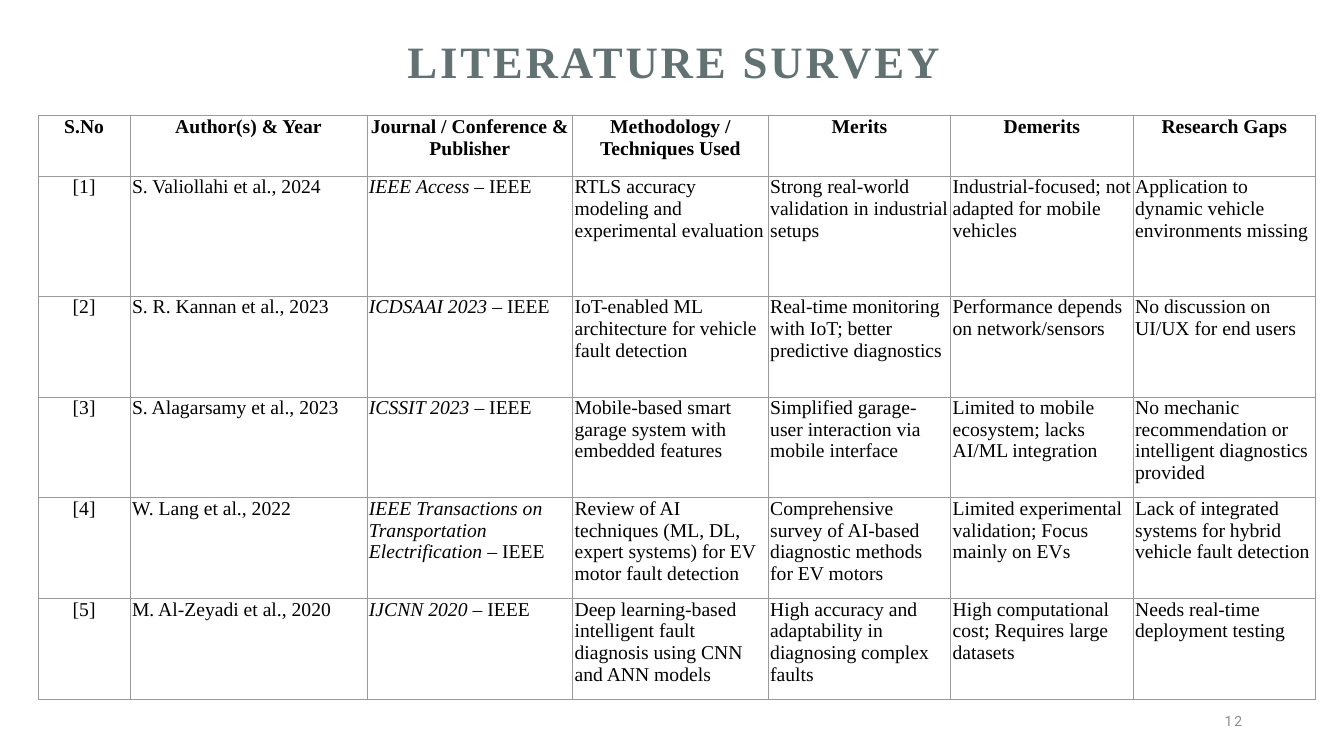
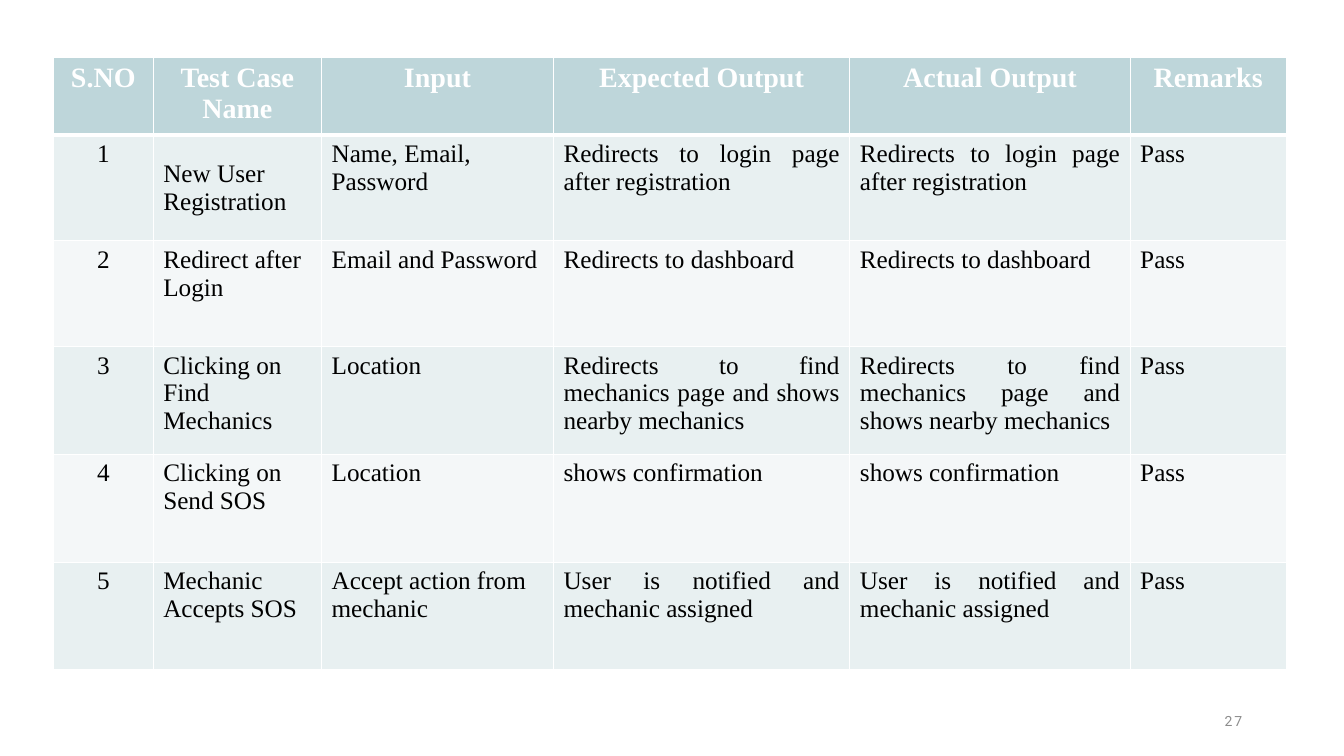
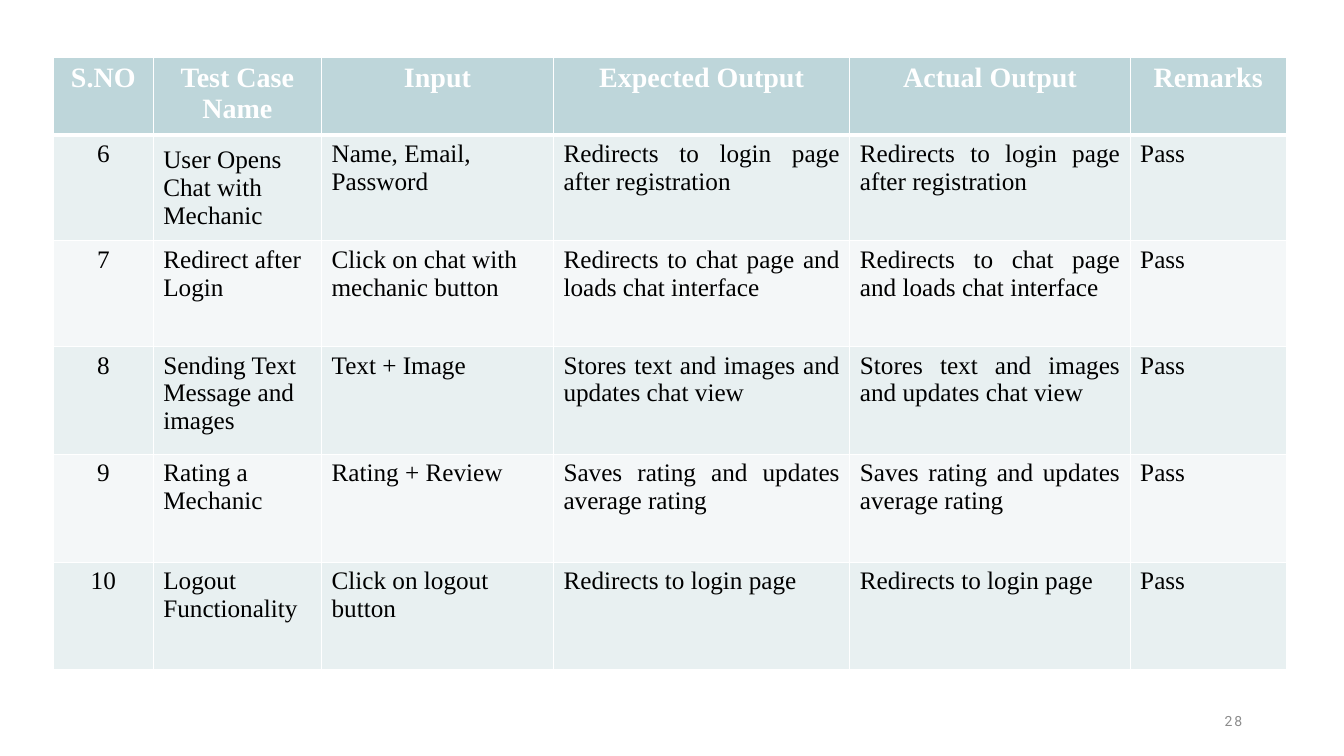
import pptx
import pptx.dml.color
import pptx.enum.text
import pptx.util
import lxml.etree

SERIF = "Times New Roman"
SANS = "Roboto"
BLACK = "000000"
WHITE = "FFFFFF"
SLATE = "627272"
GREY = "8C8C8C"
GRID_GREY = "9A9A9A"
HEADER_TEAL = "BED6DA"
BANDS = ("E8F0F1", "F4F7F8")

LEFT = pptx.enum.text.PP_ALIGN.LEFT
CENTER = pptx.enum.text.PP_ALIGN.CENTER
RIGHT = pptx.enum.text.PP_ALIGN.RIGHT
JUSTIFY = pptx.enum.text.PP_ALIGN.JUSTIFY
TOP = pptx.enum.text.MSO_ANCHOR.TOP
MIDDLE = pptx.enum.text.MSO_ANCHOR.MIDDLE
BOTTOM = pptx.enum.text.MSO_ANCHOR.BOTTOM

SURVEY_COLUMNS = (0.91, 2.35, 2.04, 1.94, 1.81, 1.81, 1.81)
SURVEY_ROWS = (0.6, 1.19, 1, 1, 1, 1)
SURVEY_HEADER = (
    "S.No", "Author(s) & Year", "Journal / Conference & Publisher",
    "Methodology / Techniques Used", "Merits", "Demerits", "Research Gaps",
)
SURVEY = (
    ("S. Valiollahi et al., 2024", "IEEE Access",
     "RTLS accuracy modeling and experimental evaluation",
     "Strong real-world validation in industrial setups",
     "Industrial-focused; not adapted for mobile vehicles",
     "Application to dynamic vehicle environments missing"),
    ("S. R. Kannan et al., 2023", "ICDSAAI 2023",
     "IoT-enabled ML architecture for vehicle fault detection",
     "Real-time monitoring with IoT; better predictive diagnostics",
     "Performance depends on network/sensors",
     "No discussion on UI/UX for end users"),
    ("S. Alagarsamy et al., 2023", "ICSSIT 2023",
     "Mobile-based smart garage system with embedded features",
     "Simplified garage-user interaction via mobile interface",
     "Limited to mobile ecosystem; lacks AI/ML integration",
     "No mechanic recommendation or intelligent diagnostics provided"),
    ("W. Lang et al., 2022", "IEEE Transactions on Transportation Electrification",
     "Review of AI techniques (ML, DL, expert systems) for EV motor fault detection",
     "Comprehensive survey of AI-based diagnostic methods for EV motors",
     "Limited experimental validation; Focus mainly on EVs",
     "Lack of integrated systems for hybrid vehicle fault detection"),
    ("M. Al-Zeyadi et al., 2020", "IJCNN 2020",
     "Deep learning-based intelligent fault diagnosis using CNN and ANN models",
     "High accuracy and adaptability in diagnosing complex faults",
     "High computational cost; Requires large datasets",
     "Needs real-time deployment testing"),
)

TEST_COLUMNS = (0.99, 1.67, 2.3, 2.94, 2.78, 1.55)
TEST_ROWS = (0.62, 1.05, 1.05, 1.07, 1.07, 1.07)
TEST_HEADER = ("S.NO", "Test Case Name", "Input", "Expected Output", "Actual Output", "Remarks")
TEST_ALIGNMENTS = (CENTER, LEFT, LEFT, JUSTIFY, JUSTIFY, JUSTIFY)
ACCOUNT_TESTS = (
    ("New User Registration", "Name, Email, Password",
     "Redirects to login page after registration"),
    ("Redirect after Login", "Email and Password", "Redirects to dashboard"),
    ("Clicking on Find Mechanics", "Location",
     "Redirects to find mechanics page and shows nearby mechanics"),
    ("Clicking on Send SOS", "Location", "shows confirmation"),
    ("Mechanic Accepts SOS", "Accept action from mechanic",
     "User is notified and mechanic assigned"),
)
CHAT_TESTS = (
    ("User Opens Chat with Mechanic", "Name, Email, Password",
     "Redirects to login page after registration"),
    ("Redirect after Login", "Click on chat with mechanic button",
     "Redirects to chat page and loads chat interface"),
    ("Sending Text Message and images", "Text + Image",
     "Stores text and images and updates chat view"),
    ("Rating a Mechanic", "Rating + Review", "Saves rating and updates average rating"),
    ("Logout Functionality", "Click on logout button", "Redirects to login page"),
)


def inches(*lengths):
    return [pptx.util.Inches(length) for length in lengths]


def color(value):
    return pptx.dml.color.RGBColor.from_string(value)


def style(paragraph, size, value, font=SERIF, bold=False, alignment=LEFT, spacing=0):
    paragraph.alignment = alignment
    paragraph.font.name = font
    paragraph.font.size = pptx.util.Pt(size)
    paragraph.font.bold = bold
    paragraph.font.color.rgb = color(value)
    if spacing:
        paragraph.font._element.set("spc", str(int(spacing * 100)))


def add_title(slide, text):
    title = slide.shapes.title
    title.left, title.top, title.width, title.height = inches(3.94, 0.18, 5.53, 0.75)
    frame = title.text_frame
    frame.text = text
    frame.auto_size = pptx.enum.text.MSO_AUTO_SIZE.NONE
    frame.vertical_anchor = BOTTOM
    frame.margin_right = 0
    paragraph = frame.paragraphs[0]
    paragraph.line_spacing = 0.9
    style(paragraph, 32, SLATE, bold=True, spacing=2)


def add_page_number(slide, number):
    frame = slide.shapes.add_textbox(*inches(9.42, 6.95, 3, 0.4)).text_frame
    frame.word_wrap = True
    frame.vertical_anchor = MIDDLE
    frame.text = str(number)
    style(frame.paragraphs[0], 10, GREY, SANS, alignment=RIGHT, spacing=1.5)


def set_borders(cell, value, left=1, right=1, top=1, bottom=1):
    properties = cell._tc.get_or_add_tcPr()
    tag = pptx.oxml.ns.qn
    for side, width in zip("LRTB", (left, right, top, bottom)):
        line = lxml.etree.SubElement(
            properties, tag(f"a:ln{side}"), w=str(pptx.util.Pt(width)))
        fill = lxml.etree.SubElement(line, tag("a:solidFill"))
        lxml.etree.SubElement(fill, tag("a:srgbClr"), val=value)


def add_table(slide, left, top, columns, rows):
    table = slide.shapes.add_table(
        len(rows), len(columns), *inches(left, top, sum(columns), sum(rows))).table
    table.horz_banding = False
    for column, width in zip(table.columns, inches(*columns)):
        column.width = width
    for row, height in zip(table.rows, inches(*rows)):
        row.height = height
    return table


def add_survey(slide):
    table = add_table(slide, 0.38, 1.15, SURVEY_COLUMNS, SURVEY_ROWS)
    entries = [(f"[{number}]", *entry) for number, entry in enumerate(SURVEY, 1)]
    for row, texts in enumerate([SURVEY_HEADER, *entries]):
        for column, text in enumerate(texts):
            cell = table.cell(row, column)
            header = row == 0
            set_borders(cell, GRID_GREY, *[0.75] * 4)
            cell.fill.background()
            cell.margin_left, cell.margin_right, cell.margin_top, cell.margin_bottom = inches(
                0.02, 0.02, 0, 0)
            cell.text = text
            paragraph = cell.text_frame.paragraphs[0]
            if column == 2 and not header:
                paragraph.runs[0].font.italic = True
                paragraph.add_run().text = " – IEEE"
            style(paragraph, 14, BLACK, bold=header,
                  alignment=CENTER if header or column == 0 else LEFT)


def add_tests(slide, first_number, tests):
    table = add_table(slide, 0.53, 0.57, TEST_COLUMNS, TEST_ROWS)
    entries = [
        (str(number), name, given, output, output, "Pass")
        for number, (name, given, output) in enumerate(tests, first_number)
    ]
    for row, texts in enumerate([TEST_HEADER, *entries]):
        for column, text in enumerate(texts):
            cell = table.cell(row, column)
            header = row == 0
            set_borders(cell, WHITE, top=3 if row == 1 else 1, bottom=3 if header else 1)
            cell.fill.solid()
            cell.fill.fore_color.rgb = color(HEADER_TEAL if header else BANDS[(row - 1) % 2])
            cell.vertical_anchor = MIDDLE if (row, column) == (1, 1) else TOP
            cell.text = text
            style(cell.text_frame.paragraphs[0], 20 if header else 18,
                  WHITE if header else BLACK, bold=header,
                  alignment=CENTER if header else TEST_ALIGNMENTS[column])


def main():
    presentation = pptx.Presentation()
    presentation.slide_width, presentation.slide_height = inches(13.33, 7.5)
    title_only, blank = presentation.slide_layouts[5], presentation.slide_layouts[6]

    slide = presentation.slides.add_slide(title_only)
    add_title(slide, "LITERATURE SURVEY")
    add_page_number(slide, 12)
    add_survey(slide)

    for page, first_number, tests in ((27, 1, ACCOUNT_TESTS), (28, 6, CHAT_TESTS)):
        slide = presentation.slides.add_slide(blank)
        add_page_number(slide, page)
        add_tests(slide, first_number, tests)

    presentation.save("out.pptx")


if __name__ == "__main__":
    main()
